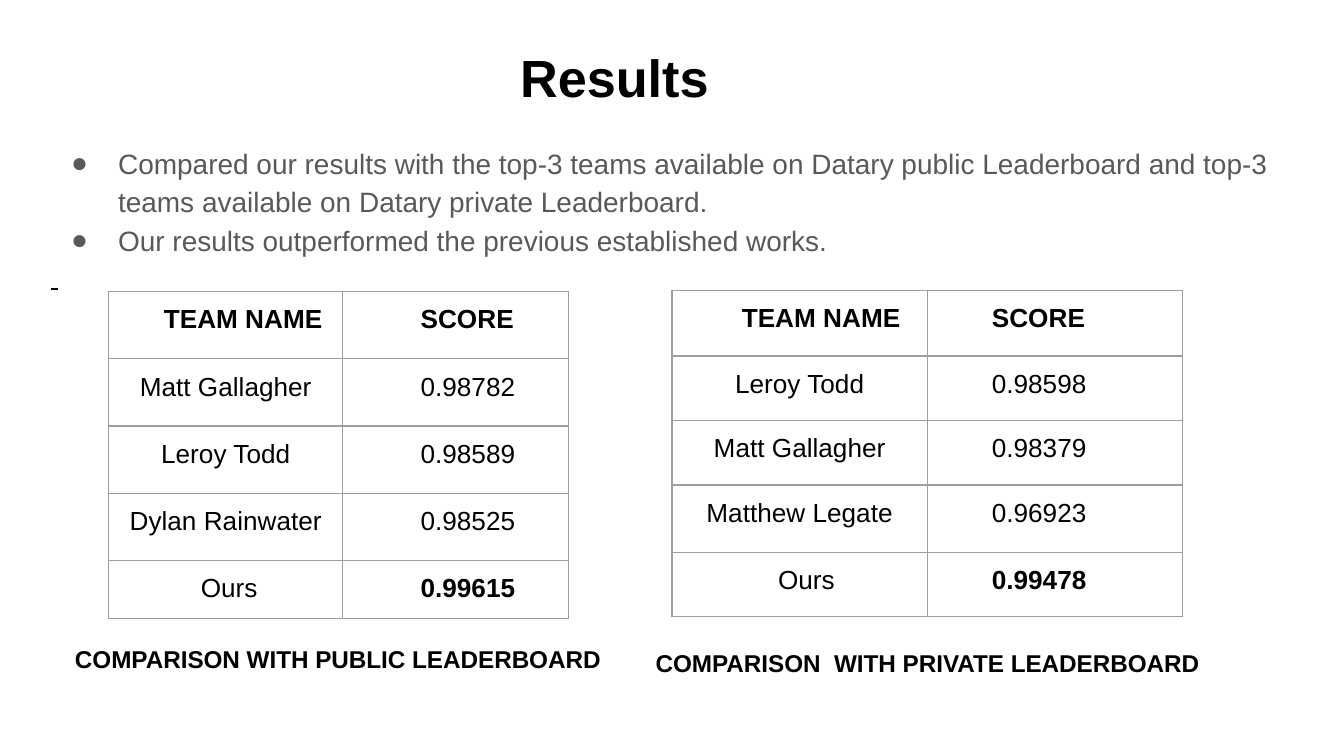
from dataclasses import dataclass

import lxml.etree
import pptx
import pptx.dml.color
import pptx.enum.shapes
import pptx.enum.text
import pptx.oxml.ns
import pptx.util

Inches = pptx.util.Inches
Pt = pptx.util.Pt
qn = pptx.oxml.ns.qn
Align = pptx.enum.text.PP_ALIGN

COLORS = {"ink": "000000", "body": "595959", "border": "9E9E9E", "background": "FFFFFF"}
FONT = "Arial"
INSET = 0.1


@dataclass
class Label:
    text: str
    box: tuple[float, float, float, float]
    size: float
    color: str = "ink"
    bold: bool = True
    left_inset: float = INSET
    spacing: float = 1.15
    bulleted: bool = False


@dataclass
class Leaderboard:
    left: float
    top: float
    columns: list[float]
    rows: list[float]
    scores: list[tuple[str, str]]
    header_inset: float
    ours_inset: float
    score_inset: float


LABELS = [
    Label("Results", (0.34, 0.24, 9.32, 0.59), 28, left_inset=3.53, spacing=1),
    Label(
        "Compared our results with the top-3 teams available on Datary public Leaderboard "
        "and top-3 teams available on Datary private Leaderboard.\n"
        "Our results outperformed the previous established works.",
        (0.28, 0.95, 9.32, 4.25), 15, "body", bold=False, bulleted=True,
    ),
    Label("COMPARISON WITH PUBLIC LEADERBOARD", (0.46, 4.66, 4.23, 0.41), 13),
    Label("COMPARISON  WITH PRIVATE LEADERBOARD", (4.78, 4.69, 4.49, 0.36), 13),
]

LEADERBOARDS = [
    Leaderboard(
        0.81, 2.17, [1.74, 1.68], [0.5, 0.5, 0.5, 0.5, 0.38],
        [("Matt Gallagher", "0.98782"), ("Leroy Todd", "0.98589"),
         ("Dylan Rainwater", "0.98525"), ("Ours", "0.99615")],
        header_inset=0.36, ours_inset=0.15, score_inset=0.58,
    ),
    Leaderboard(
        5, 2.16, [1.9, 1.9], [0.49, 0.48, 0.48, 0.5, 0.48],
        [("Leroy Todd", "0.98598"), ("Matt Gallagher", "0.98379"),
         ("Matthew Legate", "0.96923"), ("Ours", "0.99478")],
        header_inset=0.42, ours_inset=0.2, score_inset=0.48,
    ),
]


def rgb(color: str) -> pptx.dml.color.RGBColor:
    return pptx.dml.color.RGBColor.from_string(COLORS[color])


def format_runs(paragraph, size: float, color: str, bold: bool) -> None:
    for run in paragraph.runs:
        run.font.name = FONT
        run.font.size = Pt(size)
        run.font.bold = bold
        run.font.color.rgb = rgb(color)


def add_bullet(paragraph, color: str) -> None:
    properties = paragraph._p.get_or_add_pPr()
    properties.set("marL", str(Inches(0.5)))
    properties.set("indent", str(Inches(-0.35)))
    bullet_color = lxml.etree.SubElement(properties, qn("a:buClr"))
    lxml.etree.SubElement(bullet_color, qn("a:srgbClr"), val=COLORS[color])
    lxml.etree.SubElement(properties, qn("a:buFont"), typeface=FONT)
    lxml.etree.SubElement(properties, qn("a:buChar"), char="●")


def draw_label(slide, label: Label) -> None:
    frame = slide.shapes.add_textbox(*map(Inches, label.box)).text_frame
    frame.word_wrap = True
    frame.margin_left = Inches(label.left_inset)
    frame.margin_right = frame.margin_top = frame.margin_bottom = Inches(INSET)
    frame.text = label.text
    for paragraph in frame.paragraphs:
        paragraph.line_spacing = label.spacing
        format_runs(paragraph, label.size, label.color, label.bold)
        if label.bulleted:
            add_bullet(paragraph, label.color)


def add_borders(cell) -> None:
    properties = cell._tc.get_or_add_tcPr()
    for position, side in enumerate(("a:lnL", "a:lnR", "a:lnT", "a:lnB")):
        border = lxml.etree.Element(qn(side), w=str(Pt(0.75)))
        fill = lxml.etree.SubElement(border, qn("a:solidFill"))
        lxml.etree.SubElement(fill, qn("a:srgbClr"), val=COLORS["border"])
        properties.insert(position, border)


def fill_cell(cell, text: str, bold: bool, align: Align, inset: float) -> None:
    cell.text_frame.text = text
    paragraph = cell.text_frame.paragraphs[0]
    paragraph.alignment = align
    format_runs(paragraph, 14, "ink", bold)
    cell.margin_left = Inches(inset)
    cell.margin_right = cell.margin_top = cell.margin_bottom = Inches(INSET)
    cell.fill.background()
    add_borders(cell)


def draw_leaderboard(slide, board: Leaderboard) -> None:
    table = slide.shapes.add_table(
        len(board.rows), len(board.columns), Inches(board.left), Inches(board.top),
        Inches(sum(board.columns)), Inches(sum(board.rows)),
    ).table
    table.first_row = table.horz_banding = False
    for column, width in zip(table.columns, board.columns):
        column.width = Inches(width)
    for row, height in zip(table.rows, board.rows):
        row.height = Inches(height)
    name_insets = {"TEAM NAME": board.header_inset, "Ours": board.ours_inset}
    for index, (team, score) in enumerate([("TEAM NAME", "SCORE"), *board.scores]):
        is_header = index == 0
        fill_cell(table.cell(index, 0), team, is_header, Align.CENTER,
                  name_insets.get(team, INSET))
        fill_cell(table.cell(index, 1), score, is_header or team == "Ours", Align.LEFT,
                  board.score_inset)


def draw_dash(slide) -> None:
    dash = slide.shapes.add_connector(
        pptx.enum.shapes.MSO_CONNECTOR.STRAIGHT,
        Inches(0.38), Inches(2.15), Inches(0.43), Inches(2.15),
    )
    dash.line.color.rgb = rgb("ink")
    dash.line.width = Pt(1)
    lxml.etree.SubElement(dash._element.spPr, qn("a:effectLst"))


def main() -> None:
    presentation = pptx.Presentation()
    presentation.slide_width = Inches(10)
    presentation.slide_height = Inches(10) * 9 // 16
    slide = presentation.slides.add_slide(presentation.slide_layouts[6])
    slide.background.fill.solid()
    slide.background.fill.fore_color.rgb = rgb("background")
    for label in LABELS:
        draw_label(slide, label)
    draw_dash(slide)
    for board in LEADERBOARDS:
        draw_leaderboard(slide, board)
    presentation.save("out.pptx")


if __name__ == "__main__":
    main()
